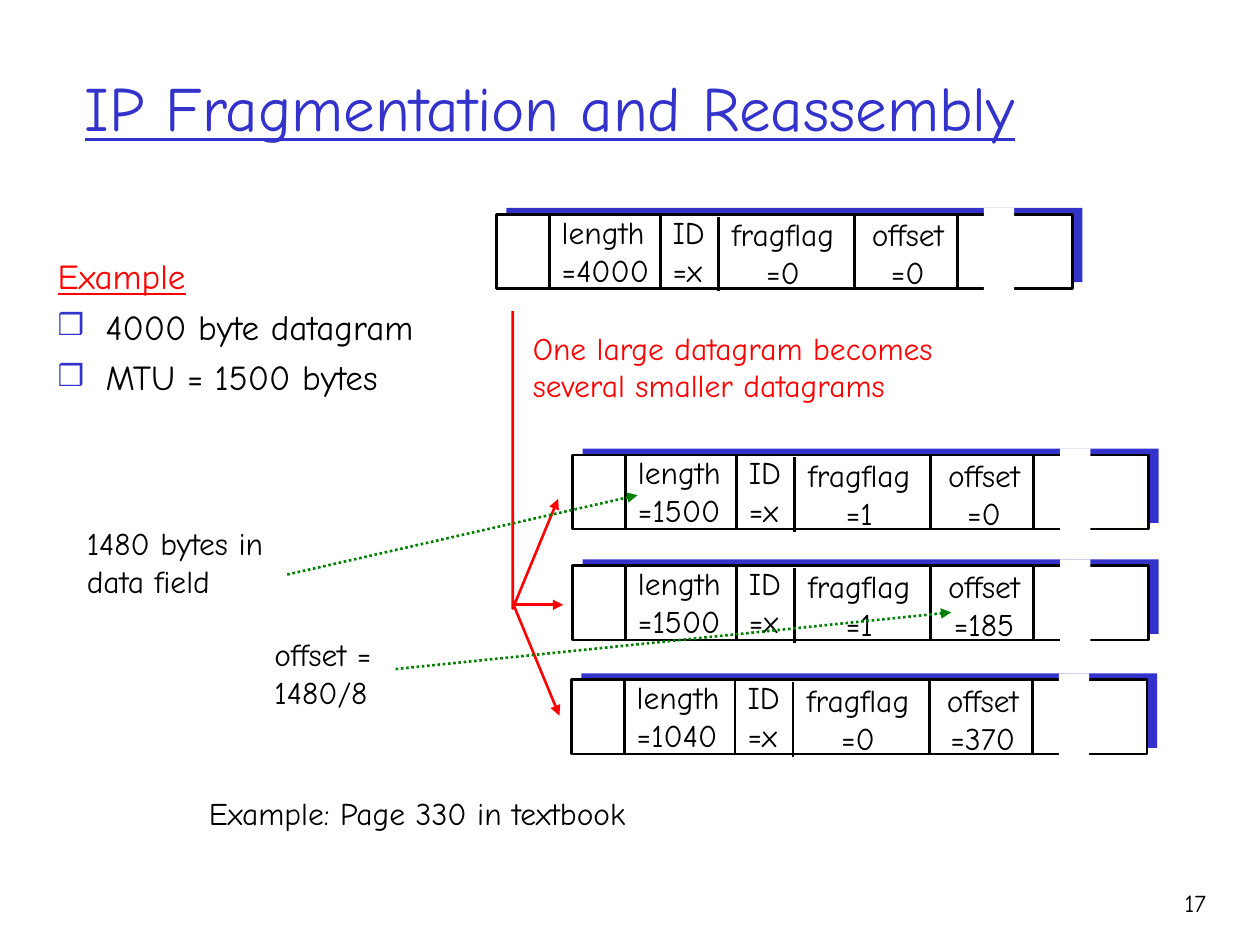
from lxml.etree import SubElement
from pptx import Presentation
from pptx.dml.color import RGBColor
from pptx.enum.dml import MSO_LINE
from pptx.enum.shapes import MSO_CONNECTOR, MSO_SHAPE
from pptx.enum.text import MSO_ANCHOR, MSO_AUTO_SIZE, PP_ALIGN
from pptx.oxml.ns import qn
from pptx.util import Inches, Pt

COLUMNS, ROWS = 100, 75
WIDTH, HEIGHT = Inches(10), Inches(7.5)
FONT = "Comic Neue"
COLORS = {
    "blue": "3333CC",
    "red": "FF0000",
    "green": "008000",
    "black": "000000",
    "white": "FFFFFF",
}

# Header layout in grid units, measured from a datagram's top left corner
BODY = (45.7, 5.9)
DIVIDERS = [(4.2, 0), (13, 0), (17.6, 0.2), (28.4, 0), (36.6, 0)]
FIELDS = [
    ("ID", 13, -0.6, 4.9, PP_ALIGN.LEFT),
    ("offset", 28.8, -0.4, 7.7, PP_ALIGN.CENTER),
    ("fragflag", 17.7, -0.4, 10.1, PP_ALIGN.CENTER),
    ("length", 4.2, -0.6, 9.2, PP_ALIGN.LEFT),
]
# Left, top, then the values of the fields
DATAGRAMS = [
    (39.4, 17, {"length": "4000", "ID": "x", "fragflag": "0", "offset": "0"}),
    (45.45, 36.1, {"length": "1500", "ID": "x", "fragflag": "1", "offset": "0"}),
    (45.45, 44.9, {"length": "1500", "ID": "x", "fragflag": "1", "offset": "185"}),
    (45.35, 53.95, {"length": "1040", "ID": "x", "fragflag": "0", "offset": "370"}),
]


def col(n):
    return round(WIDTH * n / COLUMNS)


def row(n):
    return round(HEIGHT * n / ROWS)


def box(left, top, width, height):
    return col(left), row(top), col(width), row(height)


def rgb(name):
    return RGBColor.from_string(COLORS[name])


def style_line(line, color):
    line.color.rgb = rgb(color)
    line.width = Pt(1.5)


def add_arrowhead(line):
    SubElement(line._get_or_add_ln(), qn("a:tailEnd"), type="triangle")


def add_line(shapes, start, end, color="black", arrow=False, dotted=False):
    connector = shapes.add_connector(
        MSO_CONNECTOR.STRAIGHT,
        col(start[0]), row(start[1]), col(end[0]), row(end[1]),
    )
    SubElement(connector._element.spPr, qn("a:effectLst"))
    style_line(connector.line, color)
    if dotted:
        connector.line.dash_style = MSO_LINE.ROUND_DOT
    if arrow:
        add_arrowhead(connector.line)


def add_rect(shapes, area, fill, outline=None):
    rect = shapes.add_shape(MSO_SHAPE.RECTANGLE, *box(*area))
    rect.shadow.inherit = False
    rect.fill.solid()
    rect.fill.fore_color.rgb = rgb(fill)
    if outline:
        style_line(rect.line, outline)
    else:
        rect.line.fill.background()


def style_paragraph(paragraph, size, color, underline=None):
    font = paragraph.font
    font.name = FONT
    font.size = Pt(size)
    font.color.rgb = rgb(color)
    font.underline = underline


def add_text(shapes, area, text, size=18, color="black", align=PP_ALIGN.LEFT,
             underline=None, wrap=False):
    frame = shapes.add_textbox(*box(*area)).text_frame
    frame.word_wrap = wrap
    frame.auto_size = MSO_AUTO_SIZE.NONE if wrap else MSO_AUTO_SIZE.SHAPE_TO_FIT_TEXT
    frame.text = text
    for paragraph in frame.paragraphs:
        paragraph.alignment = align
        style_paragraph(paragraph, size, color, underline)
    return frame


def add_bullet(paragraph):
    properties = paragraph._p.get_or_add_pPr()
    properties.set("marL", str(Inches(0.38)))
    properties.set("indent", str(-Inches(0.38)))
    color = SubElement(properties, qn("a:buClr"))
    SubElement(color, qn("a:srgbClr"), val=COLORS["blue"])
    SubElement(properties, qn("a:buSzPct"), val="85000")
    SubElement(properties, qn("a:buFont"), typeface=FONT)
    SubElement(properties, qn("a:buChar"), char="❒")


def add_datagram(slide, left, top, values):
    """Header with named fields, a shadow behind and a gap in its data part."""
    shapes = slide.shapes.add_group_shape().shapes
    add_rect(shapes, (left + 0.8, top - 0.5, *BODY), "blue")
    add_rect(shapes, (left, top, *BODY), "white", "black")
    for name, x, y, width, align in FIELDS:
        add_text(shapes, (left + x, top + y, width, 7),
                 f"{name}\n={values[name]}", align=align)
    for x, y in DIVIDERS:
        add_line(shapes, (left + x, top + y), (left + x, top + y + BODY[1]))
    add_rect(shapes, (left + 38.7, top - 0.5, 2.4, 6.6), "white")


def add_split_arrows(shapes):
    """One stem that branches to the three fragments."""
    builder = shapes.build_freeform(col(40.7), row(24.7))
    builder.add_line_segments(
        [(col(40.7), row(48.3)), (col(44.3), row(39.6))], close=False)
    stem = builder.convert_to_shape()
    stem.shadow.inherit = False
    stem.fill.background()
    style_line(stem.line, "red")
    add_arrowhead(stem.line)
    add_line(shapes, (40.7, 48), (44.7, 48), "red", arrow=True)
    add_line(shapes, (40.8, 48.1), (44.4, 56.8), "red", arrow=True)


def add_example(shapes):
    frame = add_text(shapes, (3.6, 19.7, 31, 18.4), "Example", 20, "red",
                     underline=True, wrap=True)
    for fact in ("4000 byte datagram", "MTU = 1500 bytes"):
        paragraph = frame.add_paragraph()
        paragraph.text = fact
        add_bullet(paragraph)
        paragraph.space_before = Pt(5)
        style_paragraph(paragraph, 20, "black")


def main():
    presentation = Presentation()
    presentation.slide_width, presentation.slide_height = WIDTH, HEIGHT
    slide = presentation.slides.add_slide(presentation.slide_layouts[6])
    shapes = slide.shapes

    title = add_text(shapes, (5.75, 2.2, 85, 12.5), "IP Fragmentation and Reassembly",
                     36, "blue", underline=True, wrap=True)
    title.vertical_anchor = MSO_ANCHOR.MIDDLE

    for left, top, values in DATAGRAMS:
        add_datagram(slide, left, top, values)
    add_split_arrows(shapes)
    add_text(shapes, (41.3, 25.6, 33.9, 7),
             "One large datagram becomes\nseveral smaller datagrams", color="red")
    add_example(shapes)

    add_text(shapes, (5.9, 41.1, 16.9, 7), "1480 bytes in \vdata field")
    add_line(shapes, (22.8, 45.6), (50.6, 39.3), "green", arrow=True, dotted=True)
    add_text(shapes, (20.8, 49.9, 10.2, 7), "offset =\n1480/8")
    add_line(shapes, (31.4, 53.1), (75.5, 48.6), "green", arrow=True, dotted=True)

    add_text(shapes, (15.6, 62.5, 35.3, 4), "Example: Page 330 in textbook")
    add_text(shapes, (89.3, 70, 7.4, 5), "17", 14, align=PP_ALIGN.RIGHT, wrap=True)
    presentation.save("out.pptx")


if __name__ == "__main__":
    main()
